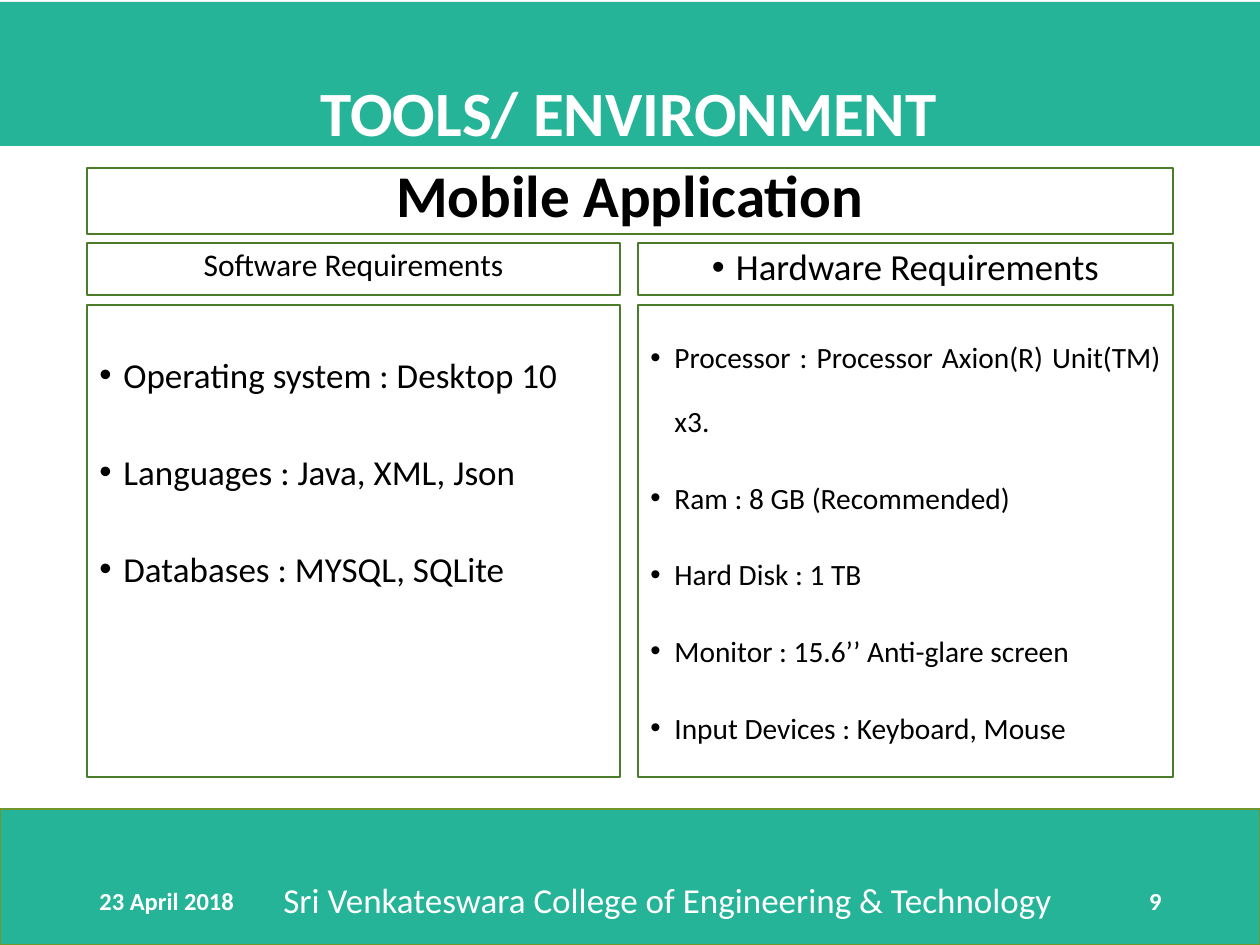
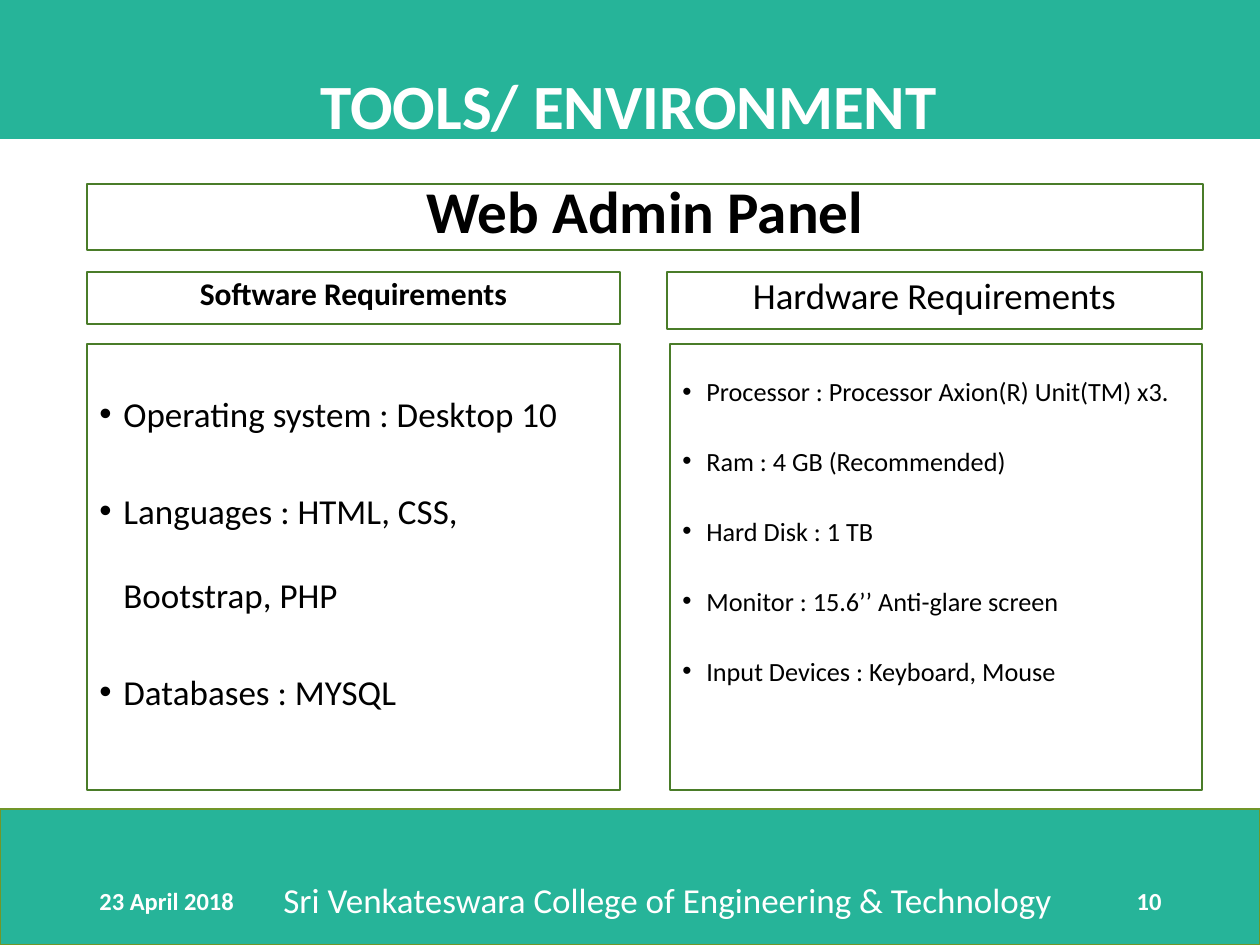
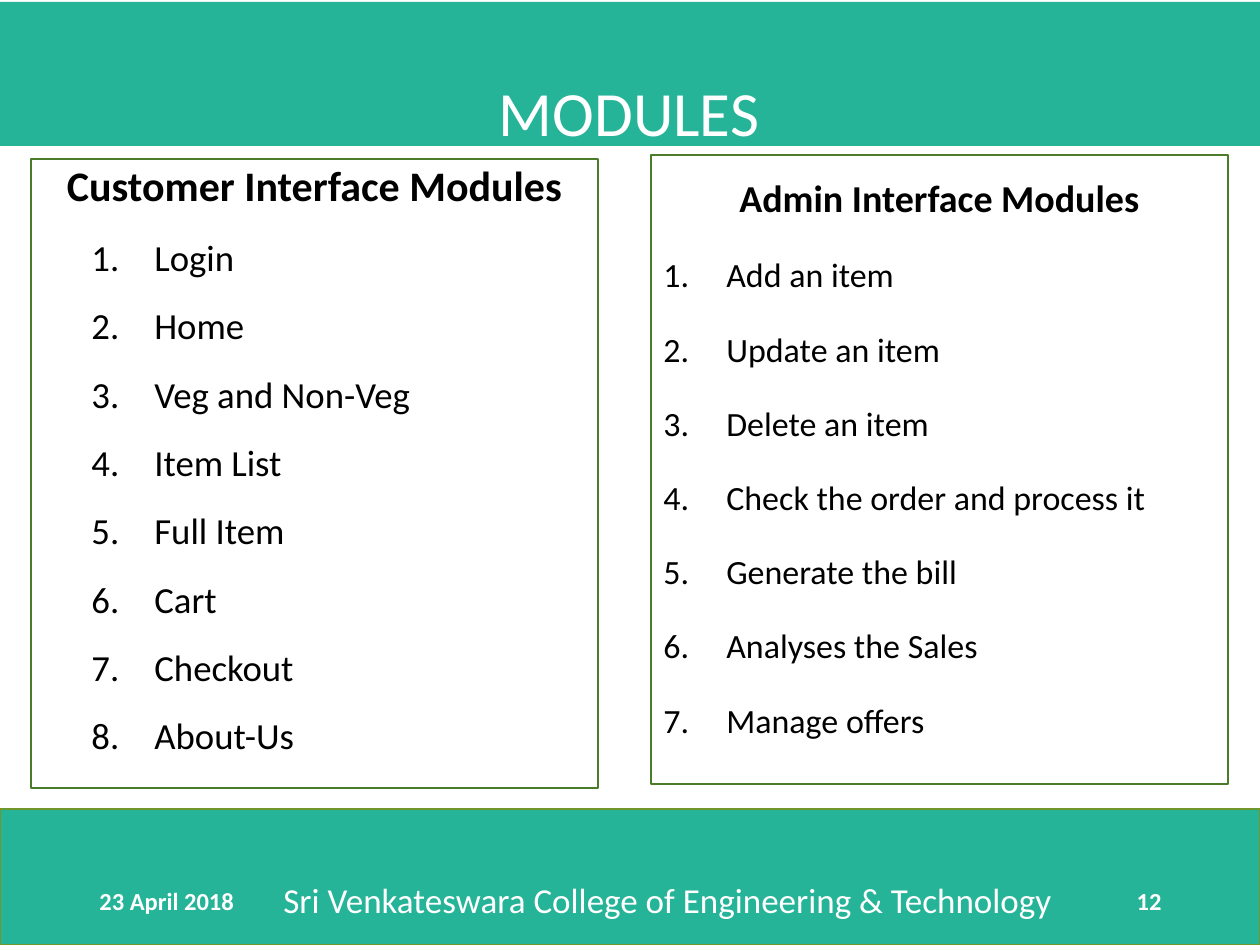
from dataclasses import dataclass
from typing import Any, NamedTuple

from lxml.etree import SubElement
from pptx import Presentation
from pptx.dml.color import RGBColor
from pptx.enum.shapes import MSO_SHAPE
from pptx.enum.text import MSO_ANCHOR, MSO_AUTO_SIZE, PP_ALIGN
from pptx.oxml.ns import qn
from pptx.util import Emu, Pt

EMU_PER_PX = 914400 / 126


@dataclass(frozen=True)
class Theme:
    font: str = "Calibri"
    band: RGBColor = RGBColor(0x26, 0xB4, 0x99)
    band_line: RGBColor = RGBColor(0x71, 0x96, 0x29)
    panel_line: RGBColor = RGBColor(0x4A, 0x7C, 0x29)
    light: RGBColor = RGBColor(0xFF, 0xFF, 0xFF)
    dark: RGBColor = RGBColor(0, 0, 0)
    title: float = 36
    banner: float = 33.8
    software_head: float = 18
    hardware_head: float = 21
    software_list: float = 20
    college: float = 20
    footer: float = 14


THEME = Theme()


class Box(NamedTuple):
    x: int
    y: int
    w: int
    h: int

    def emu(self) -> tuple[Emu, ...]:
        return tuple(px(n) for n in self)


class Block(NamedTuple):
    """Paragraphs that share one format."""
    lines: list[str]
    fmt: dict[str, Any]


class Panel(NamedTuple):
    box: Box
    blocks: list[Block]
    anchor: MSO_ANCHOR = MSO_ANCHOR.TOP


class Page(NamedTuple):
    number: int
    title: str
    title_top: int
    title_bold: bool
    panels: list[Panel]


def px(n: int) -> Emu:
    return Emu(round(n * EMU_PER_PX))


def add_text(tf, text: str, *, size: float, bold: bool = False,
             color: RGBColor = THEME.dark, align: PP_ALIGN = PP_ALIGN.LEFT,
             spacing: float = 1.0, before: float = 0, after: float = 0,
             bullet: str = "", margin: int = 0, hang: int = 0,
             level: int = 0) -> None:
    """Append a paragraph; bullet is "•" or "1." for automatic numbers."""
    first = not tf.text
    p = tf.paragraphs[0] if first else tf.add_paragraph()
    p.level = level
    if bullet:
        pPr = p._p.get_or_add_pPr()
        pPr.set("marL", str(px(margin)))
        pPr.set("indent", str(-px(hang)))
        SubElement(pPr, qn("a:buFont")).set("typeface", "Arial" if bullet == "•" else "+mj-lt")
        if bullet == "•":
            SubElement(pPr, qn("a:buChar")).set("char", bullet)
        else:
            SubElement(pPr, qn("a:buAutoNum")).set("type", "arabicPeriod")
    p.alignment = align
    p.line_spacing = spacing
    p.space_before = Pt(0 if first else before)
    p.space_after = Pt(after)
    r = p.add_run()
    r.text = text
    r.font.name = THEME.font
    r.font.size = Pt(size)
    r.font.bold = bold
    r.font.color.rgb = color


def add_rect(slide, box: Box, line: RGBColor, width: float,
             fill: RGBColor | None = None):
    sp = slide.shapes.add_shape(MSO_SHAPE.RECTANGLE, *box.emu())
    sp.shadow.inherit = False
    if fill is None:
        sp.fill.background()
    else:
        sp.fill.solid()
        sp.fill.fore_color.rgb = fill
    sp.line.color.rgb = line
    sp.line.width = Pt(width)
    return sp


def add_label(slide, box: Box, text: str, *, anchor: MSO_ANCHOR = MSO_ANCHOR.MIDDLE,
              wrap: bool = True, **fmt: Any) -> None:
    tf = slide.shapes.add_textbox(*box.emu()).text_frame
    tf.word_wrap = wrap
    tf.vertical_anchor = anchor
    add_text(tf, text, color=THEME.light, **fmt)


def add_footer(slide, number: int) -> None:
    add_rect(slide, Box(0, 809, 1260, 136), THEME.band_line, 1, THEME.band)
    add_label(slide, Box(87, 876, 284, 50), "23 April 2018", size=THEME.footer, bold=True)
    add_label(slide, Box(890, 876, 284, 50), str(number), size=THEME.footer, bold=True,
              align=PP_ALIGN.RIGHT)
    add_label(slide, Box(271, 872, 800, 55),
              "Sri Venkateswara College of Engineering & Technology",
              size=THEME.college, anchor=MSO_ANCHOR.TOP, wrap=False)


def set_title(slide, page: Page) -> None:
    sp = slide.shapes.title
    sp.left, sp.top, sp.width, sp.height = Box(-2, page.title_top, 1262, 144).emu()
    sp.fill.solid()
    sp.fill.fore_color.rgb = THEME.band
    tf = sp.text_frame
    tf.auto_size = MSO_AUTO_SIZE.NONE
    tf.vertical_anchor = MSO_ANCHOR.MIDDLE
    add_text(tf, page.title, size=THEME.title, bold=page.title_bold, color=THEME.light,
             align=PP_ALIGN.CENTER, spacing=2, after=6)


def add_panel(slide, panel: Panel) -> None:
    tf = add_rect(slide, panel.box, THEME.panel_line, 0.75).text_frame
    tf.word_wrap = True
    tf.vertical_anchor = panel.anchor
    for block in panel.blocks:
        for line in block.lines:
            add_text(tf, line, **block.fmt)


def add_page(prs, page: Page) -> None:
    slide = prs.slides.add_slide(prs.slide_layouts[5])
    set_title(slide, page)
    add_footer(slide, page.number)
    for panel in page.panels:
        add_panel(slide, panel)


BULLET = dict(bullet="•", margin=24, hang=24)


def banner(box: Box, text: str) -> Panel:
    fmt = dict(size=THEME.banner, bold=True, align=PP_ALIGN.CENTER, spacing=0.7)
    return Panel(box, [Block([text], fmt)], MSO_ANCHOR.BOTTOM)


def heading(text: str, size: float, spacing: float = 0.9, **fmt: Any) -> Block:
    return Block([text], dict(size=size, align=PP_ALIGN.CENTER, spacing=spacing, **fmt))


def software(box: Box, lines: list[str]) -> Panel:
    return Panel(box, [Block(lines, dict(size=THEME.software_list, spacing=2, before=7.5,
                                         **BULLET))])


def hardware(box: Box, ram: str, size: float) -> Panel:
    lines = ["Processor : Processor Axion(R) Unit(TM) x3.",
             f"Ram : {ram} (Recommended)",
             "Hard Disk : 1 TB",
             "Monitor : 15.6’’ Anti-glare screen",
             "Input Devices : Keyboard, Mouse"]
    return Panel(box, [Block(lines, dict(size=size, align=PP_ALIGN.JUSTIFY, spacing=1.8,
                                         before=7.5, **BULLET))])


PAGES = [
    Page(9, "TOOLS/ ENVIRONMENT", 2, True, [
        banner(Box(87, 168, 1086, 66), "Mobile Application"),
        Panel(Box(87, 243, 533, 52),
              [heading("Software Requirements", THEME.software_head)]),
        software(Box(87, 305, 533, 472),
                 ["Operating system : Desktop 10", "Languages : Java, XML, Json",
                  "Databases : MYSQL, SQLite"]),
        Panel(Box(638, 243, 535, 52),
              [heading("Hardware Requirements", THEME.hardware_head, **BULLET)]),
        hardware(Box(638, 305, 535, 472), "8 GB", 16.8),
    ]),
    Page(10, "TOOLS/ ENVIRONMENT", -5, True, [
        banner(Box(87, 184, 1116, 66), "Web Admin Panel"),
        Panel(Box(87, 272, 533, 52),
              [heading("Software Requirements", THEME.software_head, bold=True)]),
        software(Box(87, 344, 533, 446),
                 ["Operating system : Desktop 10", "Languages : HTML, CSS, Bootstrap, PHP",
                  "Databases : MYSQL"]),
        Panel(Box(667, 272, 535, 57),
              [heading("Hardware Requirements", THEME.hardware_head)]),
        hardware(Box(670, 344, 532, 446), "4 GB", 15),
    ]),
    Page(12, "MODULES", 2, False, [
        Panel(Box(31, 159, 567, 629), [
            heading("Customer Interface Modules", 24, bold=True),
            Block(["Login", "Home", "Veg and Non-Veg", "Item List", "Full Item", "Cart",
                   "Checkout", "About-Us"],
                  dict(size=21, spacing=1.4, before=3.8, bullet="1.", margin=111, hang=63,
                       level=1)),
        ]),
        Panel(Box(651, 155, 577, 629), [
            heading("Admin Interface Modules", 21.7, spacing=1.3, bold=True),
            Block(["Add an item", "Update an item", "Delete an item",
                   "Check the order and process it", "Generate the bill",
                   "Analyses the Sales", "Manage offers"],
                  dict(size=19.4, spacing=1.5, before=7.5, bullet="1.", margin=63, hang=63)),
        ]),
    ]),
]


def main() -> None:
    prs = Presentation()
    prs.slide_width, prs.slide_height = px(1260), px(945)
    for page in PAGES:
        add_page(prs, page)
    prs.save("out.pptx")


if __name__ == "__main__":
    main()
